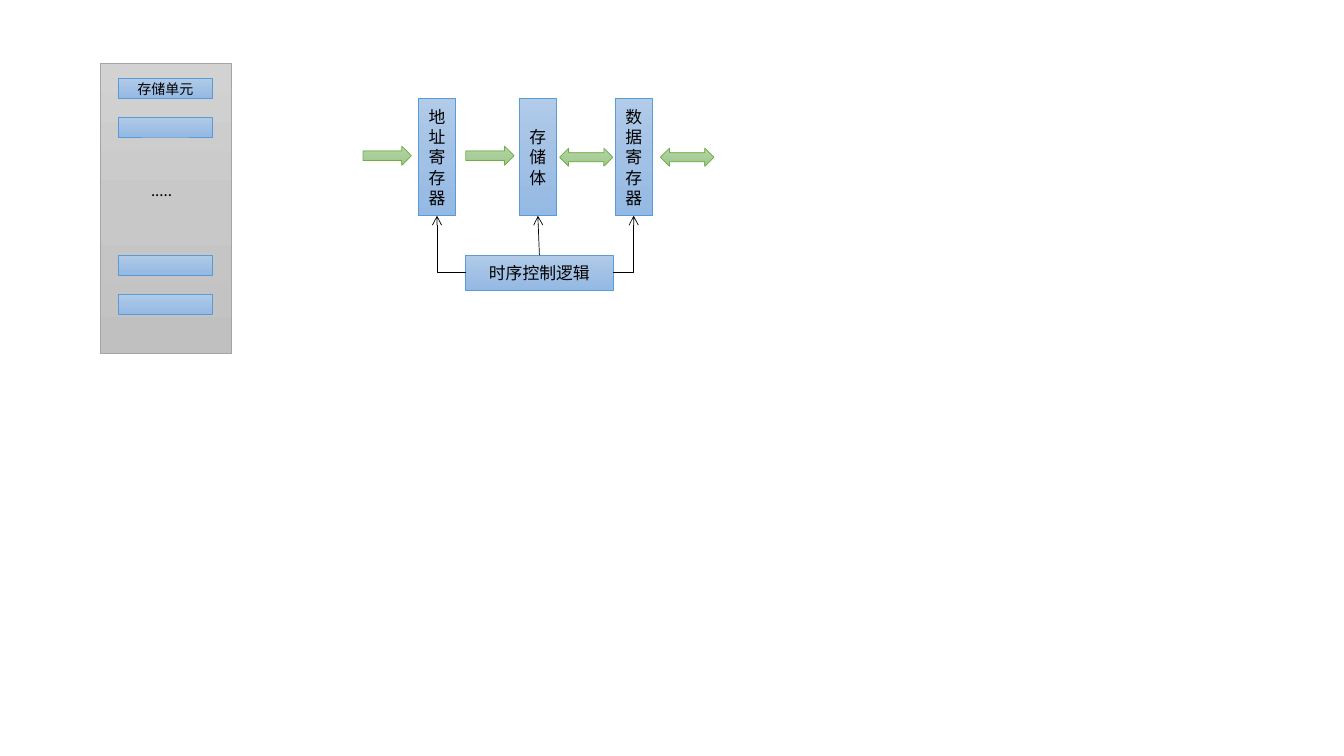
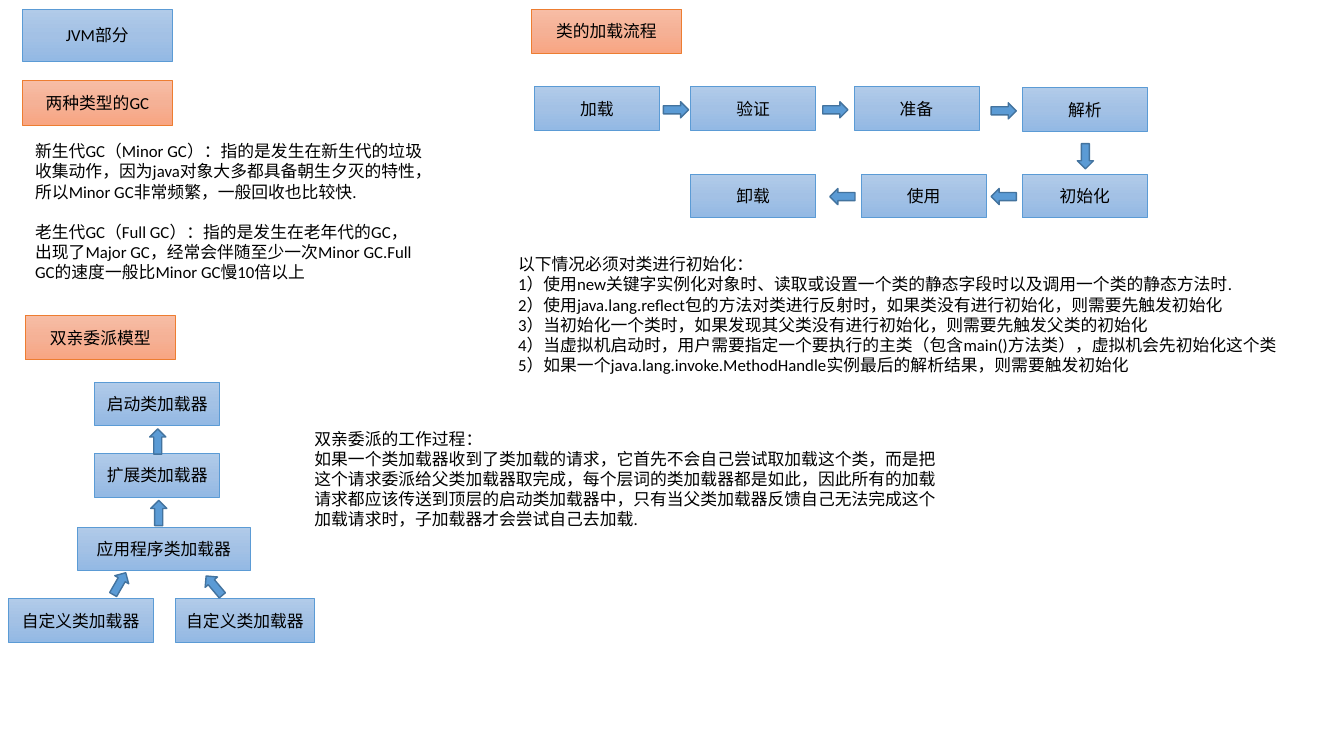
from dataclasses import dataclass

import pptx
import pptx.dml.color
import pptx.enum.shapes
import pptx.enum.text
import pptx.oxml.ns
import pptx.util
from lxml import etree

Inches = pptx.util.Inches
Pt = pptx.util.Pt
Preset = pptx.enum.shapes.MSO_SHAPE
Link = pptx.enum.shapes.MSO_CONNECTOR
qn = pptx.oxml.ns.qn


@dataclass(frozen=True)
class Paint:
    """Fill colours from top to bottom, with the outline."""
    fill: tuple[str, ...]
    line: str
    weight: float = 0.5


@dataclass(frozen=True)
class Theme:
    blue: Paint = Paint(("B1CBE9", "A3C1E5", "93B9E4"), "5B9BD5")
    orange: Paint = Paint(("F7BDA5", "F5B196", "F8A582"), "ED7D31")
    green: Paint = Paint(("B5D5A7", "AACE9A", "9CC987"), "70AD47")
    gray: Paint = Paint(("D2D2D2", "C8C8C8", "C0C0C0"), "A5A5A5")
    arrow: Paint = Paint(("5B9BD5",), "43739E", 1)
    ink: str = "000000"
    font: str = "Calibri"
    body_size: float = 12
    cell_size: float = 10
    paragraph_gap: float = 14.4


THEME = Theme()


@dataclass(frozen=True)
class Box:
    text: str
    left: float
    top: float
    width: float
    height: float
    paint: Paint = THEME.blue
    size: float = THEME.body_size
    preset: int = Preset.RECTANGLE
    turn: float = 0


@dataclass(frozen=True)
class Note:
    paragraphs: tuple[str, ...]
    left: float
    top: float
    width: float
    height: float
    gap: float = 0


def rgb(code: str):
    return pptx.dml.color.RGBColor.from_string(code)


def paint_shape(shape, paint: Paint) -> None:
    shape.shadow.inherit = False
    shape.line.color.rgb = rgb(paint.line)
    shape.line.width = Pt(paint.weight)
    if len(paint.fill) == 1:
        shape.fill.solid()
        shape.fill.fore_color.rgb = rgb(paint.fill[0])
        return
    shape.fill.gradient()
    shape.fill.gradient_angle = 270
    stops = next(shape._element.spPr.iter(qn("a:gsLst")))
    for stop in list(stops):
        stops.remove(stop)
    for index, code in enumerate(paint.fill):
        position = 100000 * index // (len(paint.fill) - 1)
        stop = etree.SubElement(stops, qn("a:gs"), pos=str(position))
        etree.SubElement(stop, qn("a:srgbClr"), val=code)


def write(para, text: str, size: float = THEME.body_size) -> None:
    span = para.add_run()
    span.text = text
    span.font.name = THEME.font
    span.font.size = Pt(size)
    span.font.color.rgb = rgb(THEME.ink)


def fill_box(shape, box: Box):
    """Paint a shape and centre the label of the box in it."""
    paint_shape(shape, box.paint)
    shape.rotation = box.turn
    if box.text:
        frame = shape.text_frame
        frame.auto_size = pptx.enum.text.MSO_AUTO_SIZE.NONE
        frame.word_wrap = True
        frame.vertical_anchor = pptx.enum.text.MSO_ANCHOR.MIDDLE
        para = frame.paragraphs[0]
        para.alignment = pptx.enum.text.PP_ALIGN.CENTER
        write(para, box.text, box.size)
    return shape


def add_box(page, box: Box):
    place = map(Inches, (box.left, box.top, box.width, box.height))
    return fill_box(page.shapes.add_shape(box.preset, *place), box)


def add_title(page, box: Box) -> None:
    title = page.shapes.title
    title.left, title.top = Inches(box.left), Inches(box.top)
    title.width, title.height = Inches(box.width), Inches(box.height)
    fill_box(title, box)


def add_note(page, note: Note) -> None:
    place = map(Inches, (note.left, note.top, note.width, note.height))
    frame = page.shapes.add_textbox(*place).text_frame
    frame.word_wrap = True
    frame.auto_size = pptx.enum.text.MSO_AUTO_SIZE.SHAPE_TO_FIT_TEXT
    for index, text in enumerate(note.paragraphs):
        para = frame.add_paragraph() if index else frame.paragraphs[0]
        if index and note.gap:
            para.space_before = Pt(note.gap)
        write(para, text)


def side_point(shape, side: int) -> tuple[int, int]:
    """Middle of a side: 0 top, 1 left, 2 bottom, 3 right."""
    across = (1, 0, 1, 2)[side]
    down = (0, 1, 2, 1)[side]
    return shape.left + shape.width * across // 2, shape.top + shape.height * down // 2


def join(page, source, source_side: int, target, target_side: int, bent: bool) -> None:
    """Run an arrow from source to target, with one corner if bent."""
    connector = page.shapes.add_connector(
        Link.ELBOW if bent else Link.STRAIGHT,
        *side_point(source, source_side), *side_point(target, target_side))
    connector.begin_connect(source, source_side)
    connector.end_connect(target, target_side)
    connector.line.color.rgb = rgb(THEME.ink)
    connector.line.width = Pt(0.5)
    properties = connector._element.spPr
    if bent:
        properties.find(qn("a:prstGeom")).set("prst", "bentConnector2")
    etree.SubElement(properties.find(qn("a:ln")), qn("a:tailEnd"), type="arrow")
    etree.SubElement(properties, qn("a:effectLst"))


def build_memory(page) -> None:
    add_box(page, Box("", 1, 0.63, 1.3, 2.88, THEME.gray))
    for text, top in (("存储单元", 0.78), ("", 1.16), ("", 2.53), ("", 2.92)):
        add_box(page, Box(text, 1.17, top, 0.94, 0.2, size=THEME.cell_size))
    add_note(page, Note((".....",), 1.4, 1.73, 0.6, 0.3))

    address, storage, data = [
        add_box(page, Box(text, left, 0.98, 0.37, 1.16))
        for text, left in (("地址寄存器", 4.15), ("存储体", 5.15), ("数据寄存器", 6.1))]
    for left in (3.6, 4.62):
        add_box(page, Box("", left, 1.45, 0.48, 0.19, THEME.green, preset=Preset.RIGHT_ARROW))
    for left in (5.55, 6.55):
        add_box(page, Box("", left, 1.47, 0.53, 0.18, THEME.green,
                          preset=Preset.LEFT_RIGHT_ARROW))

    control = add_box(page, Box("时序控制逻辑", 4.62, 2.53, 1.46, 0.35))
    join(page, control, 1, address, 2, bent=True)
    join(page, control, 0, storage, 2, bent=False)
    join(page, control, 3, data, 2, bent=True)


def build_jvm(page) -> None:
    add_title(page, Box("JVM部分", 0.22, 0.09, 1.49, 0.52))
    for text, left, top in (("两种类型的GC", 0.22, 0.8), ("类的加载流程", 5.27, 0.09),
                            ("双亲委派模型", 0.25, 3.13)):
        add_box(page, Box(text, left, top, 1.49, 0.44, THEME.orange))

    loading_steps = (
        ("加载", 5.3, 0.86), ("验证", 6.85, 0.86), ("准备", 8.47, 0.86), ("解析", 10.14, 0.87),
        ("初始化", 10.14, 1.73), ("使用", 8.54, 1.73), ("卸载", 6.85, 1.73))
    for text, left, top in loading_steps:
        add_box(page, Box(text, left, top, 1.24, 0.43))

    loaders = (
        ("启动类加载器", 0.94, 3.79, 1.24), ("扩展类加载器", 0.94, 4.5, 1.24),
        ("应用程序类加载器", 0.77, 5.23, 1.71),
        ("自定义类加载器", 0.08, 5.94, 1.44), ("自定义类加载器", 1.74, 5.94, 1.38))
    for text, left, top, width in loaders:
        add_box(page, Box(text, left, top, width, 0.43))

    arrows = (
        (6.58, 1.01, 0), (8.16, 1.01, 0), (9.83, 1.02, 0), (10.64, 1.47, 90),
        (9.83, 1.87, 180), (8.23, 1.87, 180),
        (1.06, 5.71, 300), (2, 5.73, 230), (1.45, 5.01, 270), (1.44, 4.3, 270))
    for left, top, turn in arrows:
        add_box(page, Box("", left, top, 0.25, 0.16, THEME.arrow,
                          preset=Preset.RIGHT_ARROW, turn=turn))

    add_note(page, Note((
        "新生代GC（Minor GC）：指的是发生在新生代的垃圾收集动作，因为java对象大多都具备朝生夕灭的特性，"
        "所以Minor GC非常频繁，一般回收也比较快.",
        "老生代GC（Full GC）：指的是发生在老年代的GC，出现了Major GC，经常会伴随至少一次Minor GC."
        "Full GC的速度一般比Minor GC慢10倍以上",
    ), 0.25, 1.35, 4.05, 1.51, THEME.paragraph_gap))
    add_note(page, Note((
        "以下情况必须对类进行初始化：",
        "1）使用new关键字实例化对象时、读取或设置一个类的静态字段时以及调用一个类的静态方法时.",
        "2）使用java.lang.reflect包的方法对类进行反射时，如果类没有进行初始化，则需要先触发初始化",
        "3）当初始化一个类时，如果发现其父类没有进行初始化，则需要先触发父类的初始化",
        "4）当虚拟机启动时，用户需要指定一个要执行的主类（包含main()方法类），虚拟机会先初始化这个类",
        "5）如果一个java.lang.invoke.MethodHandle实例最后的解析结果，则需要触发初始化",
    ), 5.04, 2.47, 8.11, 1.31))
    add_note(page, Note((
        "双亲委派的工作过程：",
        "如果一个类加载器收到了类加载的请求，它首先不会自己尝试取加载这个类，而是把这个请求委派给"
        "父类加载器取完成，每个层词的类加载器都是如此，因此所有的加载请求都应该传送到顶层的启动类加载器中，"
        "只有当父类加载器反馈自己无法完成这个加载请求时，子加载器才会尝试自己去加载.",
    ), 3.02, 4.2, 6.45, 1.11))


def main() -> None:
    deck = pptx.Presentation()
    deck.slide_width, deck.slide_height = Inches(13.33), Inches(7.5)
    title_only, blank = deck.slide_layouts[5], deck.slide_layouts[6]
    build_memory(deck.slides.add_slide(blank))
    build_jvm(deck.slides.add_slide(title_only))
    deck.save("out.pptx")


if __name__ == "__main__":
    main()
